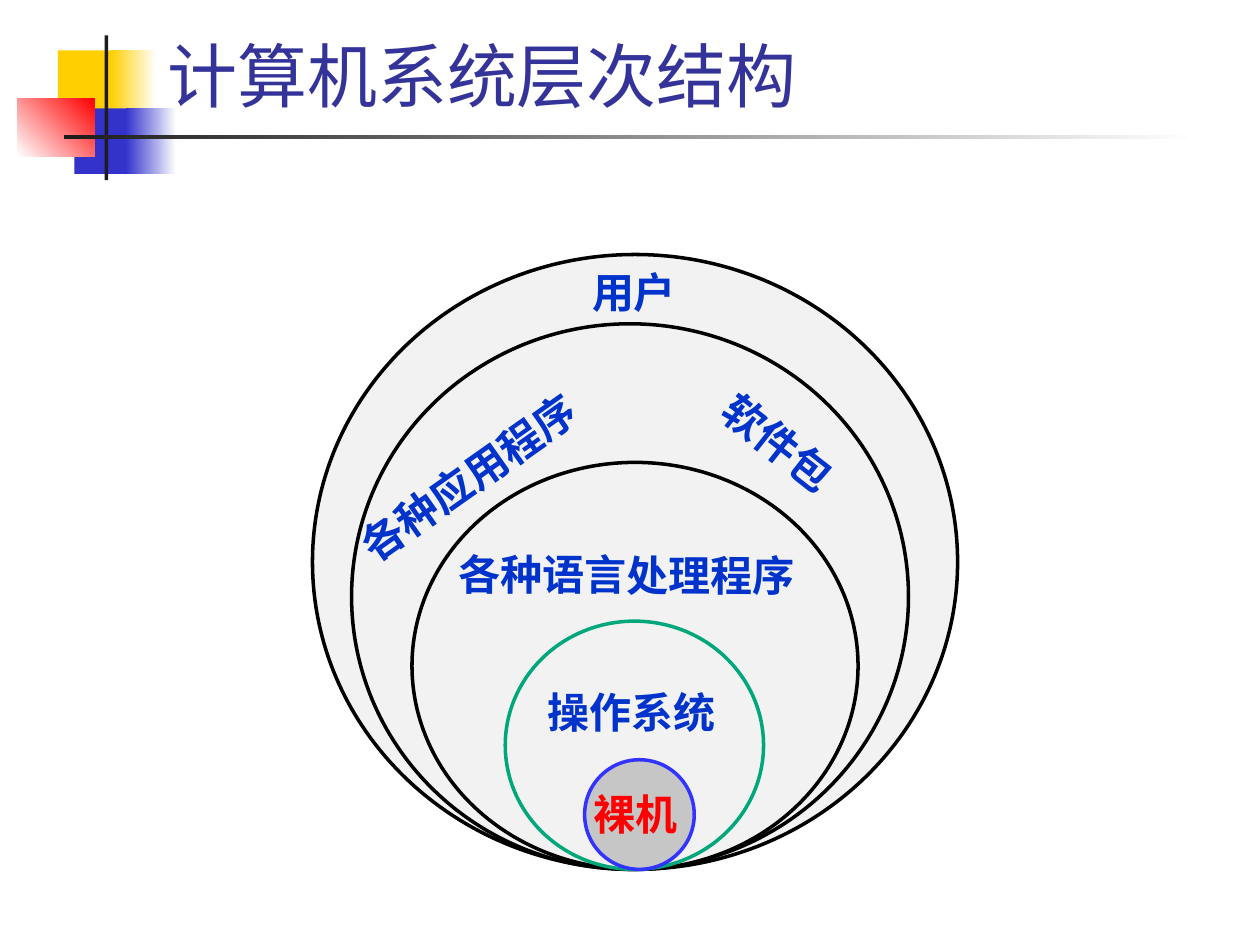
from pptx import Presentation
from pptx.dml.color import RGBColor
from pptx.enum.shapes import MSO_SHAPE
from pptx.enum.text import MSO_ANCHOR
from pptx.util import Inches, Pt
from lxml import etree

RECTANGLE, OVAL = MSO_SHAPE.RECTANGLE, MSO_SHAPE.OVAL
MIDDLE, TOP = MSO_ANCHOR.MIDDLE, MSO_ANCHOR.TOP
DRAWING = "http://schemas.openxmlformats.org/drawingml/2006/main"

THEME = {
    "white": "FFFFFF", "yellow": "FFCF01", "blue": "3333CC", "red": "FF0000",
    "ink": "1C1C1C", "title": "333399", "label": "0033CC", "black": "000000",
    "layer": "F2F2F2", "core": "C6C6C6", "green": "00A77A", "core_line": "3333FF",
    "title_font": "Noto Sans CJK JP", "label_font": "Times New Roman",
    "title_size": 40, "label_size": 24, "line_width": 2,
}

SLIDE_WIDTH, SLIDE_HEIGHT = 10, 7.5
LAYERS_BOTTOM = 0.92 * SLIDE_HEIGHT  # every circle rests on this line
LABEL_HEIGHT, LABEL_MARGIN = 0.5, 0.1

TITLE = "计算机系统层次结构"
TITLE_BOX = (1.23, -0.03, 8.5, 1.25)

# Corner ornament: box, colours (one is solid, two a gradient), gradient angle
ORNAMENT = [
    ((0.46, 0.4, 0.48, 0.52), ["yellow"], 0),
    ((0.88, 0.4, 0.36, 0.52), ["yellow", "white"], 0),
    ((0.59, 0.86, 0.46, 0.52), ["blue"], 0),
    ((1, 0.86, 0.4, 0.52), ["blue", "white"], 0),
    ((0.14, 0.78, 0.61, 0.46), ["white", "red"], 45),
    ((0.83, 0.28, 0.03, 1.15), ["ink"], 0),
    ((0.51, 1.07, 9, 0.03), ["ink", "white"], 0),
]

# Layers, outermost first; a label is text, left, top, rotation, colour
LAYERS = [
    {"left": 2.48, "size": (5.12, 4.88), "fill": "layer", "line": "black",
     "labels": [("用户", 4.6, 2.07, 0, "label")]},
    {"left": 2.79, "size": (4.42, 4.33), "fill": "layer", "line": "black",
     "labels": [("各种应用程序", 2.62, 3.54, 324.8, "label"),
                ("软件包", 5.58, 3.26, 38.1, "label")]},
    {"left": 3.27, "size": (3.54, 3.23), "fill": "layer", "line": "black",
     "labels": [("各种语言处理程序", 3.54, 4.31, 0.3, "label")]},
    {"left": 4.01, "size": (2.05, 1.97), "fill": "layer", "line": "green",
     "labels": [("操作系统", 4.25, 5.4, 0, "label")]},
    {"left": 4.64, "size": (0.87, 0.87), "fill": "core", "line": "core_line",
     "labels": [("裸机", 4.61, 6.21, 0, "red")]},
]


def color(name):
    return RGBColor.from_string(THEME[name])


def add_filled(slide, kind, box, colors, angle=0, line=None):
    shape = slide.shapes.add_shape(kind, *map(Inches, box))
    shape.shadow.inherit = False
    if len(colors) == 1:
        shape.fill.solid()
        shape.fill.fore_color.rgb = color(colors[0])
    else:
        shape.fill.gradient()
        shape.fill.gradient_angle = angle
        for stop, name in zip(shape.fill.gradient_stops, colors):
            stop.color.rgb = color(name)
    if line:
        shape.line.color.rgb = color(line)
        shape.line.width = Pt(THEME["line_width"])
    else:
        shape.line.fill.background()


def add_text(slide, text, box, role, color_name, bold, wrap, anchor):
    shape = slide.shapes.add_textbox(*map(Inches, box))
    frame = shape.text_frame
    frame.word_wrap = wrap
    frame.vertical_anchor = anchor
    run = frame.paragraphs[0].add_run()
    run.text = text
    run.font.name = THEME[role + "_font"]
    run.font.size = Pt(THEME[role + "_size"])
    run.font.bold = bold
    run.font.color.rgb = color(color_name)
    return shape, run


def add_layer(slide, layer):
    width, height = layer["size"]
    box = (layer["left"], LAYERS_BOTTOM - height, width, height)
    add_filled(slide, OVAL, box, [layer["fill"]], line=layer["line"])
    for text, left, top, rotation, color_name in layer["labels"]:
        # Each character is one em wide
        label_width = len(text) * THEME["label_size"] / 72 + 2 * LABEL_MARGIN
        label, _ = add_text(slide, text, (left, top, label_width, LABEL_HEIGHT),
                            "label", color_name, True, False, TOP)
        label.rotation = rotation


def main():
    presentation = Presentation()
    presentation.slide_width = Inches(SLIDE_WIDTH)
    presentation.slide_height = Inches(SLIDE_HEIGHT)
    slide = presentation.slides.add_slide(presentation.slide_layouts[6])

    # Corner ornament and rule
    for box, colors, angle in ORNAMENT:
        add_filled(slide, RECTANGLE, box, colors, angle)

    # Nested system layers
    for layer in LAYERS:
        add_layer(slide, layer)

    # Title, with its font also set for East Asian text
    _, run = add_text(slide, TITLE, TITLE_BOX, "title", "title", False, True, MIDDLE)
    east_asian = etree.SubElement(run.font._element, f"{{{DRAWING}}}ea")
    east_asian.set("typeface", THEME["title_font"])

    presentation.save("out.pptx")


if __name__ == "__main__":
    main()
